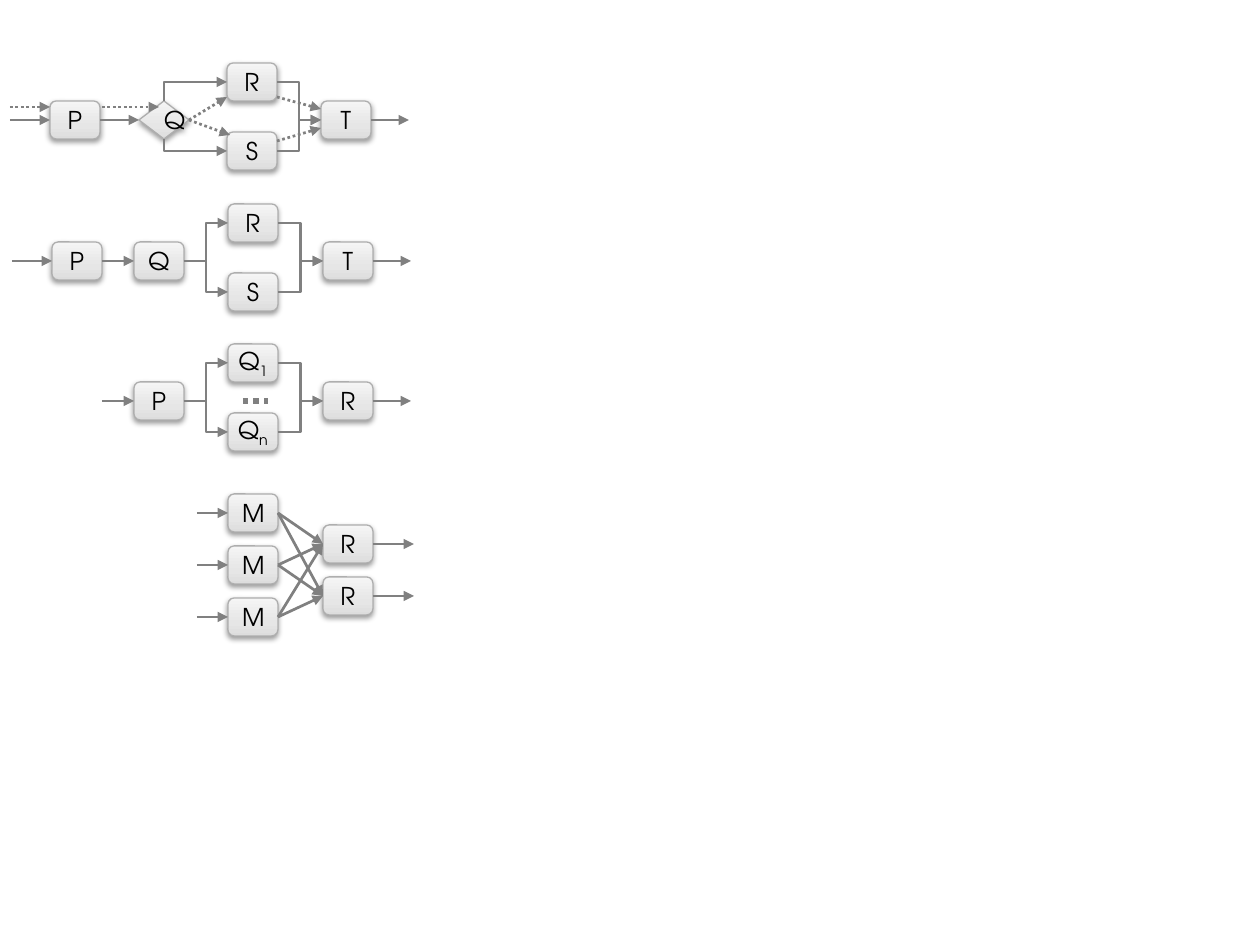
from copy import deepcopy

from lxml import etree
from pptx import Presentation
from pptx import util as u
from pptx.dml.color import RGBColor
from pptx.enum import dml, shapes, text
from pptx.oxml.ns import qn

# Lengths are pixels, 126 to the inch
PX = 914400 // 126
PAGE = (1260, 945)
WIDE, HIGH = 50, 38
UP, DOWN = -38, 31

THEME = dict(
    font="TeX Gyre Adventor", size=14, ink="000000",
    grad=[(0, "DDDDDD"), (0.35, "E6E6E6"), (1, "F5F5F5")],
    edge="AEAEAE", thin=0.75, line="808080", width=1.55, dots=3,
    shade=dict(blurRad=39370, dist=20320, dir=5400000, rotWithShape=0),
    dark=dict(val=38000),
)

# Nodes: name -> (label, subscript, left, centre height)
# Bare lines: (from x, from y, to x, to y)
JOIN = [("R", "T"), ("S", "T")]
CHOICE = dict(
    nodes={"P": ("P", "", 50, 120), "Q": ("Q", "", 139, 120),
           "R": ("R", "", 227, 120 + UP), "S": ("S", "", 227, 120 + DOWN),
           "T": ("T", "", 321, 120)},
    gates="Q", links=[("P", "Q"), ("Q", "R"), ("Q", "S"), *JOIN],
    enter=[("P", 40)], leave=[("T", 38)], bend=True,
    dotted=[(10, 107, 50, 107), (102, 107, 159, 107),
            (189, 120, 227, 97), (189, 120, 230, 135),
            (277, 97, 321, 109), (277, 141, 321, 128)],
)
SPLIT = dict(
    nodes={"P": ("P", "", 52, 261), "Q": ("Q", "", 134, 261),
           "R": ("R", "", 228, 261 + UP), "S": ("S", "", 228, 261 + DOWN),
           "T": ("T", "", 323, 261)},
    links=[("P", "Q"), ("Q", "R"), ("Q", "S"), *JOIN],
    enter=[("P", 40)], leave=[("T", 38)], bend=True,
)
SPREAD = dict(
    nodes={"P": ("P", "", 134, 401), "Q1": ("Q", "1", 228, 401 + UP),
           "Qn": ("Q", "n", 228, 401 + DOWN), "R": ("R", "", 323, 401)},
    links=[("P", "Q1"), ("P", "Qn"), ("Q1", "R"), ("Qn", "R")],
    enter=[("P", 32)], leave=[("R", 38)], bend=True,
    more=[(243, 401, 268, 401)],
)
MAPS = {f"M{i}": ("M", "", 228, 513 + 52 * i) for i in range(3)}
SINKS = {f"R{i}": ("R", "", 323, 544 + 52 * i) for i in range(2)}
MERGE = dict(
    nodes={**MAPS, **SINKS}, links=[(m, r) for m in MAPS for r in SINKS],
    enter=[(m, 31) for m in MAPS], leave=[(r, 41) for r in SINKS], bend=False,
)
FLOWS = [SPLIT, CHOICE, SPREAD, MERGE]


def color(name):
    """Turn a hex string into a colour."""
    return RGBColor.from_string(name)


def put(part, tag, **vals):
    """Add one drawing element with its attributes."""
    return etree.SubElement(part, qn(tag), {k: str(v) for k, v in vals.items()})


def paint(shape):
    """Give a node its gradient, edge and soft shadow."""
    shape.fill.gradient()
    shape.fill.gradient_angle = 90
    stops = shape._element.spPr.find(".//" + qn("a:gsLst"))
    stops.append(deepcopy(stops[0]))
    for stop, (place, tone) in zip(shape.fill.gradient_stops, THEME["grad"]):
        stop.position, stop.color.rgb = place, color(tone)
    shape.line.color.rgb = color(THEME["edge"])
    shape.line.width = u.Pt(THEME["thin"])
    shape.shadow.inherit = False
    effects = shape._element.spPr.find(qn("a:effectLst"))
    shade = put(effects, "a:outerShdw", **THEME["shade"])
    put(put(shade, "a:srgbClr", val="000000"), "a:alpha", **THEME["dark"])


def node(group, label, sub, left, mid, gate):
    """Draw a labelled box, or a diamond for a gate."""
    kind = shapes.MSO_SHAPE.DIAMOND if gate else shapes.MSO_SHAPE.ROUNDED_RECTANGLE
    box = (left, mid - HIGH // 2, WIDE, HIGH)
    shape = group.shapes.add_shape(kind, *[v * PX for v in box])
    paint(shape)
    frame = shape.text_frame
    frame.vertical_anchor = text.MSO_ANCHOR.MIDDLE
    if sub:
        for side in ("left", "top", "right", "bottom"):
            setattr(frame, "margin_" + side, 0)
    para = frame.paragraphs[0]
    para.alignment = text.PP_ALIGN.CENTER
    for word in filter(None, (label, sub)):
        run = para.add_run()
        run.text = word
        for key, val in dict(name=THEME["font"], size=u.Pt(THEME["size"])).items():
            setattr(run.font, key, val)
        run.font.color.rgb = color(THEME["ink"])
    if sub:
        run.font._element.set("baseline", "-25000")


def wire(group, ends, bend=False, dots=False, head=True, width=THEME["width"]):
    """Draw a straight or bent line, with an arrowhead if asked."""
    kind = shapes.MSO_CONNECTOR.ELBOW if bend else shapes.MSO_CONNECTOR.STRAIGHT
    link = group.shapes.add_connector(kind, *[v * PX for v in ends])
    link.line.color.rgb = color(THEME["line"])
    link.line.width = u.Pt(width)
    if dots:
        link.line.dash_style = dml.MSO_LINE.ROUND_DOT
    if head:
        put(link.line._get_or_add_ln(), "a:tailEnd", type="triangle")
    put(link._element.spPr, "a:effectLst")
    return link


def corner(group, ends):
    """Draw an arrow that first runs up or down, then right."""
    link = wire(group, ends, bend=True)
    x1, y1, x2, y2 = [v * PX for v in ends]
    wide, high = abs(y2 - y1), x2 - x1
    place = dict(left=(x1 + x2 - wide) // 2, top=(y1 + y2 - high) // 2,
                 width=wide, height=high)
    for key, val in place.items():
        setattr(link, key, val)
    rises = y2 < y1
    props = link._element.spPr
    turn = dict(rot=5400000 if rises else 16200000, flipH=1, flipV=int(rises))
    for key, val in turn.items():
        props.find(qn("a:xfrm")).set(key, str(val))
    props.find(qn("a:prstGeom")).set("prst", "bentConnector2")


def draw(slide, flow):
    """Draw one flow as a group."""
    group = slide.shapes.add_group_shape()
    nodes, gates = flow["nodes"], flow.get("gates", "")
    for name, spec in nodes.items():
        node(group, *spec, gate=name in gates)
    for start, end in flow["links"]:
        (x1, y1), (x2, y2) = nodes[start][2:], nodes[end][2:]
        if start in gates:
            edge = y1 + (HIGH if y2 > y1 else -HIGH) // 2
            corner(group, (x1 + WIDE // 2, edge, x2, y2))
        else:
            wire(group, (x1 + WIDE, y1, x2, y2), flow["bend"] and y1 != y2)
    for name, size in flow["enter"]:
        x, y = nodes[name][2:]
        wire(group, (x - size, y, x, y))
    for name, size in flow["leave"]:
        x, y = nodes[name][2:]
        wire(group, (x + WIDE, y, x + WIDE + size, y))
    for ends in flow.get("dotted", []):
        wire(group, ends, dots=True)
    for ends in flow.get("more", []):
        wire(group, ends, dots=True, head=False, width=THEME["dots"])


def main():
    """Build and save the slide."""
    deck = Presentation()
    deck.slide_width, deck.slide_height = [v * PX for v in PAGE]
    slide = deck.slides.add_slide(deck.slide_layouts[6])
    for flow in FLOWS:
        draw(slide, flow)
    deck.save("out.pptx")


main()
